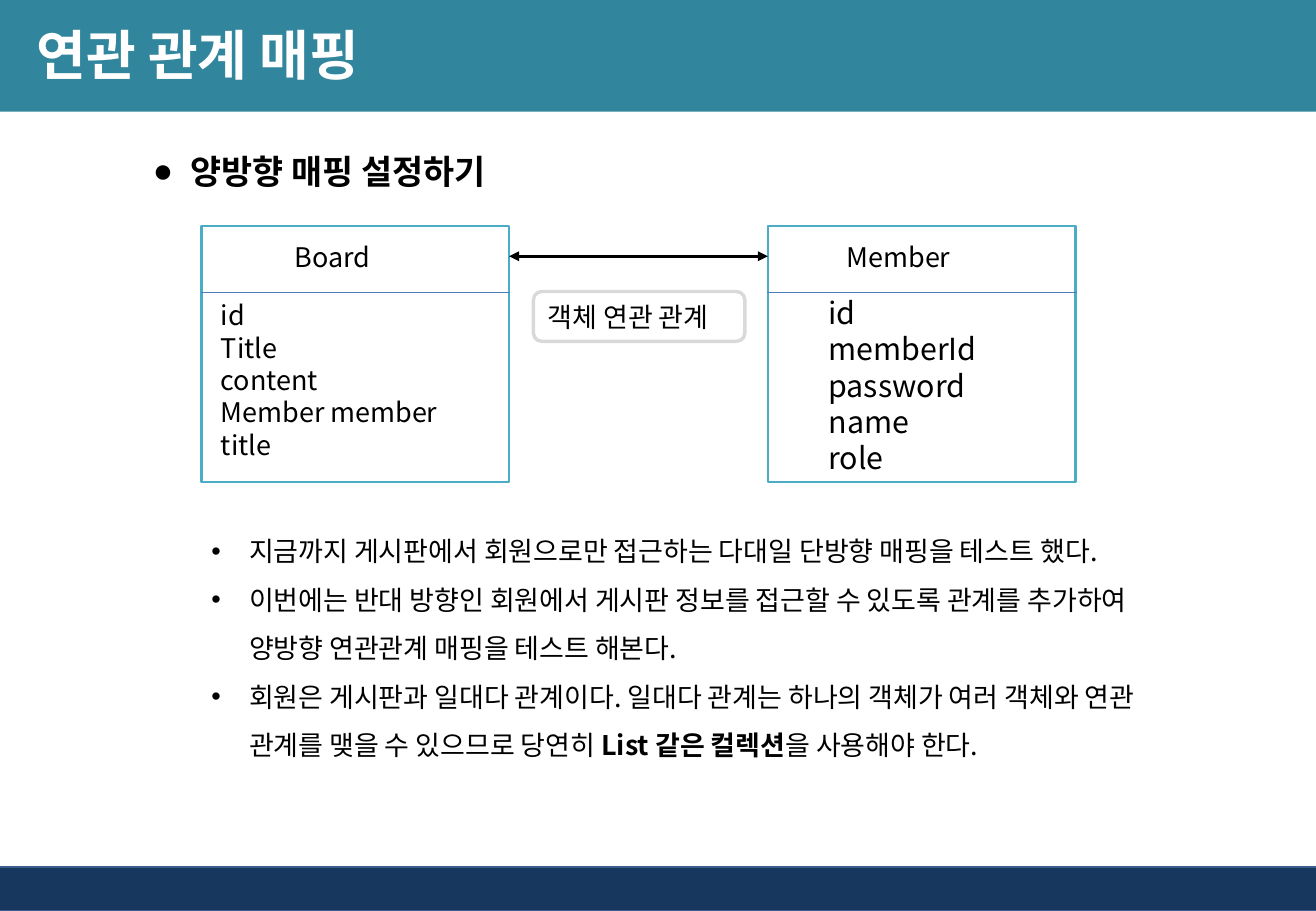
from dataclasses import dataclass
from lxml import etree
from pptx import Presentation
from pptx import util as u
from pptx.dml.color import RGBColor
from pptx.enum import shapes, text
from pptx.oxml import ns

PX = 9144  # 100 px to the inch
LEFT, MID = text.PP_ALIGN.LEFT, text.PP_ALIGN.CENTER
TOP, CENTER = text.MSO_ANCHOR.TOP, text.MSO_ANCHOR.MIDDLE
RECT, ROUND = shapes.MSO_SHAPE.RECTANGLE, shapes.MSO_SHAPE.ROUNDED_RECTANGLE


@dataclass(frozen=True)
class Theme:
    font: str = "Noto Sans CJK KR"
    white: str = "FFFFFF"
    black: str = "000000"
    teal: str = "31859C"
    navy: str = "17375E"
    edge: str = "3A5F8C"
    aqua: str = "4BACC6"
    blue: str = "4B7EBC"
    gray: str = "D9D9D9"
    title: int = 32
    head: int = 20
    large: int = 18
    body: int = 16


def put(obj, values):
    for name, value in values.items():
        setattr(obj, name, value)


def sub(parent, tag, **attrs):
    return etree.SubElement(parent, ns.qn(tag), attrs)


class Deck:
    def __init__(self, theme, wide, high):
        self.theme = theme
        self.prs = Presentation()
        put(self.prs, {"slide_width": wide * PX, "slide_height": high * PX})
        self.slide = self.prs.slides.add_slide(self.prs.slide_layouts[1])
        self.shapes = self.slide.shapes

    def rect(self, box, fill, edge=None, width=1, kind=RECT):
        shape = self.shapes.add_shape(kind, *(n * PX for n in box))
        shape.shadow.inherit = False
        shape.fill.solid()
        shape.fill.fore_color.rgb = RGBColor.from_string(fill)
        if edge:
            shape.line.color.rgb = RGBColor.from_string(edge)
            shape.line.width = u.Pt(width)
        else:
            shape.line.fill.background()
        return shape

    def line(self, x, y, end, color, width, arrows=False):
        """Draw a level line from x to end."""
        link = self.shapes.add_connector(
            shapes.MSO_CONNECTOR.STRAIGHT, x * PX, y * PX, end * PX, y * PX)
        link.line.color.rgb = RGBColor.from_string(color)
        link.line.width = u.Pt(width)
        if arrows:
            stroke = link.line._get_or_add_ln()
            for tag in ("a:headEnd", "a:tailEnd"):
                sub(stroke, tag, type="triangle")
        sub(link.element.spPr, "a:effectLst")

    def fill(self, shape, paras, size, color=None, bold=False, align=LEFT,
             anchor=TOP, bullet=None, space=1.0, inset=10):
        """Put text in a shape; a paragraph is a string or a list of (text, bold)."""
        frame = shape.text_frame
        put(frame, {"word_wrap": True, "auto_size": text.MSO_AUTO_SIZE.NONE,
                    "vertical_anchor": anchor, "margin_left": inset * PX})
        for i, runs in enumerate(paras):
            para = frame.add_paragraph() if i else frame.paragraphs[0]
            put(para, {"alignment": align, "line_spacing": space,
                       "space_before": u.Pt(0)})
            if bullet:
                props = para._p.get_or_add_pPr()
                props.set("marL", str(31 * PX))
                props.set("indent", str(-31 * PX))
                sub(props, "a:buFont", typeface="Arial")
                sub(props, "a:buChar", char=bullet)
            for words, strong in [(runs, bold)] if isinstance(runs, str) else runs:
                run = para.add_run()
                run.text = words
                put(run.font, {"size": u.Pt(size), "bold": strong,
                               "name": self.theme.font})
                run.font.color.rgb = RGBColor.from_string(color or self.theme.black)
                sub(run._r.get_or_add_rPr(), "a:ea", typeface=self.theme.font)

    def label(self, box, paras, size, **style):
        shape = self.shapes.add_textbox(*(n * PX for n in box))
        self.fill(shape, paras, size, **style)

    def holder(self, shape, box, paras, size, **style):
        """Move a placeholder to the front and fill it."""
        names = ("left", "top", "width", "height")
        put(shape, {name: n * PX for name, n in zip(names, box)})
        shape.element.getparent().append(shape.element)
        self.fill(shape, paras, size, **style)

    def entity(self, x, name, fields, box, size):
        """Draw a class box with its name over its fields."""
        t = self.theme
        self.rect((x, 186, 253, 211), t.white, t.aqua, 1.5)
        self.line(x - 1, 241, x + 254, t.blue, 0.75)
        self.label((x + 31, 193, 153, 37), [name], t.body, align=MID)
        self.label(box, fields, size)


def main():
    t = Theme()
    deck = Deck(t, 1083, 750)
    deck.rect((-4, 714, 1088, 36), t.navy, t.edge)
    deck.rect((0, 0, 1083, 92), t.teal)
    deck.holder(deck.shapes.title, (0, -3, 874, 94), ["연관 관계 매핑"], t.title,
                color=t.white, bold=True, anchor=CENTER, inset=30)
    deck.label((116, 119, 324, 44), ["양방향 매핑 설정하기"], t.head,
               bold=True, bullet="●")
    deck.holder(deck.slide.placeholders[1], (164, 422, 835, 212), [
        "지금까지 게시판에서 회원으로만 접근하는 다대일 단방향 매핑을 테스트 했다.",
        "이번에는 반대 방향인 회원에서 게시판 정보를 접근할 수 있도록 관계를 추가하여 "
        "양방향 연관관계 매핑을 테스트 해본다.",
        [("회원은 게시판과 일대다 관계이다. 일대다 관계는 하나의 객체가 여러 객체와 연관 "
          "관계를 맺을 수 있으므로 당연히 ", False),
         ("List 같은 컬렉션", True), ("을 사용해야 한다.", False)],
    ], t.body, bullet="•", space=1.5)
    deck.entity(166, "Board", ["id", "Title", "content", "Member member", "title"],
                (172, 241, 243, 148), t.body)
    deck.entity(632, "Member", ["id", "memberId", "password", "name", "role"],
                (672, 237, 199, 162), t.large)
    deck.line(419, 211, 632, t.black, 1.5, arrows=True)
    note = deck.rect((439, 240, 174, 41), t.white, t.gray, 2, ROUND)
    deck.fill(note, ["객체 연관 관계"], t.body, anchor=CENTER)
    deck.prs.save("out.pptx")


if __name__ == "__main__":
    main()
